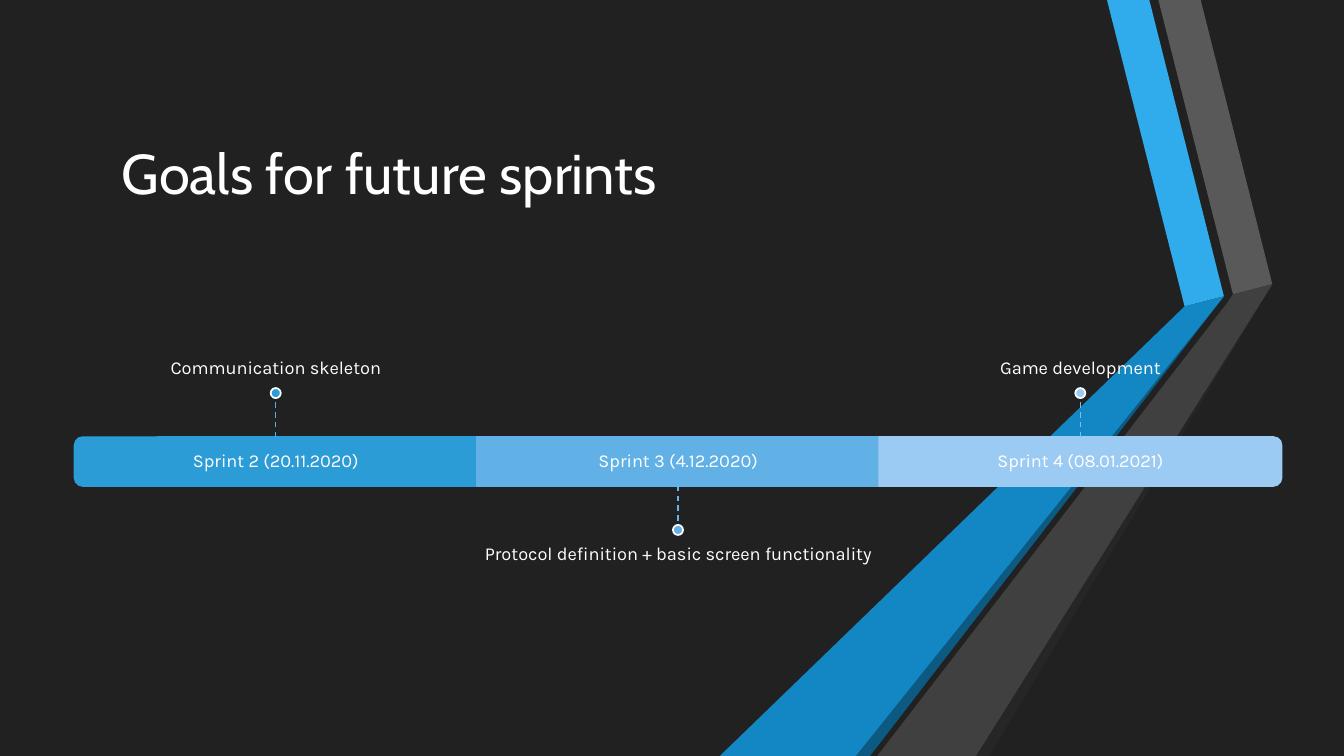
from pptx import Presentation
from pptx import util as u
from pptx.dml.color import RGBColor
from pptx.enum import dml, shapes, text
from pptx.oxml.ns import qn

DARK = RGBColor(0x21, 0x21, 0x21)
WHITE = RGBColor(0xFF, 0xFF, 0xFF)
SKY = RGBColor(0x30, 0xAC, 0xEC)
BLUE = RGBColor(0x12, 0x87, 0xC3)
NAVY = RGBColor(0x0C, 0x5A, 0x82)
ASH = RGBColor(0x59, 0x59, 0x59)
GREY = RGBColor(0x40, 0x40, 0x40)
COAL = RGBColor(0x26, 0x26, 0x26)

# Ribbon corners on a grid of 750 rows, columns of the same size
RIBBONS = [
    (SKY, [(500, 294), (461, 304), (384, 0), (426, 0)]),
    (ASH, [(509, 292), (435, 0), (477, 0), (548, 282)]),
    (COAL, [(548, 282), (267, 750), (254, 750)]),
    (NAVY, [(500, 294), (149, 750), (135, 750)]),
    (BLUE, [(500, 294), (135, 750), (0, 750), (461, 304)]),
    (GREY, [(509, 292), (502, 302), (156, 750), (254, 750), (548, 282)]),
]

# Sprint, goal, bar colour, stem colour, side of the goal (-1 above, 1 below)
SPRINTS = [
    ("Sprint 2 (20.11.2020)", "Communication skeleton",
     RGBColor(0x2C, 0x9C, 0xD6), RGBColor(0x51, 0xB1, 0xE9), -1),
    ("Sprint 3 (4.12.2020)", "Protocol definition + basic screen functionality",
     RGBColor(0x61, 0xB1, 0xE6), RGBColor(0x62, 0xB8, 0xEC), 1),
    ("Sprint 4 (08.01.2021)", "Game development",
     RGBColor(0x9B, 0xCA, 0xF2), RGBColor(0x74, 0xBF, 0xEF), -1),
]

deck = Presentation()
deck.slide_width, deck.slide_height = u.Inches(13.33), u.Inches(7.5)
W, H = deck.slide_width, deck.slide_height
slide = deck.slides.add_slide(deck.slide_layouts[6])
slide.background.fill.solid()
slide.background.fill.fore_color.rgb = DARK


def write(words, box, font="Karla", size=13, align="CENTER", anchor="MIDDLE",
          pad=(0, 0), lead=0.9):
    frame = slide.shapes.add_textbox(*map(int, box)).text_frame
    frame.word_wrap = True
    frame.vertical_anchor = text.MSO_ANCHOR[anchor]
    side, edge = map(u.Inches, pad)
    frame.margin_left = frame.margin_right = side
    frame.margin_top = frame.margin_bottom = edge
    par = frame.paragraphs[0]
    par.alignment = text.PP_ALIGN[align]
    par.line_spacing = lead
    run = par.add_run()
    run.text = words
    run.font.name, run.font.size = font, u.Pt(size)
    run.font.color.rgb = WHITE


def paint(shape, fill, line=None):
    shape.shadow.inherit = False
    shape.fill.solid()
    shape.fill.fore_color.rgb = fill
    if line is None:
        shape.line.fill.background()
    else:
        shape.line.color.rgb = line
        shape.line.width = u.Pt(1.25)


def block(kind, midx, midy, wide, high, fill, line, turn=0):
    shape = slide.shapes.add_shape(
        shapes.MSO_SHAPE[kind], int(midx - wide / 2), int(midy - high / 2),
        int(wide), int(high))
    shape.rotation = turn
    paint(shape, fill, line)


def stem(x, start, end, color):
    line = slide.shapes.add_connector(
        shapes.MSO_CONNECTOR.STRAIGHT, *map(int, (x, start, x, end)))
    line.line.color.rgb = color
    line.line.width = u.Pt(1)
    line.line.dash_style = dml.MSO_LINE.DASH
    props = line._element.spPr
    props.append(props.makeelement(qn("a:effectLst"), {}))


def ribbons(left, top, high):
    unit = high / 750
    for color, spots in RIBBONS:
        path = slide.shapes.build_freeform(*spots[0], scale=unit)
        path.add_line_segments(spots[1:], close=True)
        paint(path.convert_to_shape(int(left), int(top)), color)


def sprints(left, top, wide, high):
    # Three columns; the bar takes the middle tenth-and-a-half of the height
    col, mid = wide / len(SPRINTS), top + high / 2
    bar, dot = high * 0.15, u.Inches(0.1)
    reach, span = high * 0.21, col * 1.2
    for i, (name, goal, fill, dash, side) in enumerate(SPRINTS):
        x = left + col * (i + 0.5)
        # Bar piece, with rounded outer ends
        if i in (0, len(SPRINTS) - 1):
            block("ROUND_2_SAME_RECTANGLE", x, mid, bar, col, fill, fill,
                  90 if i else 270)
        else:
            block("RECTANGLE", x, mid, col, bar, fill, fill)
        write(name, (x - col / 2, mid - bar / 2, col, bar), pad=(0.11, 0.11))
        # Goal at the end of a dashed stem
        far = mid + side * (reach + dot / 2)
        box = high / 2 - reach - dot / 2
        write(goal, (x - span / 2, far if side > 0 else far - box, span, box),
              anchor="TOP" if side > 0 else "BOTTOM", pad=(0, 0.11))
        stem(x, mid + side * bar / 2, far - side * dot, dash)
        block("OVAL", x, mid + side * reach, dot, dot, fill, WHITE)


ribbons(W * 0.5356, 0, H)
write("Goals for future sprints", (W / 12, H * 0.1, W * 0.61, H * 0.256),
      font="Cabin", size=40, align="LEFT", pad=(0.1, 0.05), lead=1)
sprints(W * 0.0555, H * 0.395, W * 0.898, H * 0.431)

deck.save("out.pptx")
